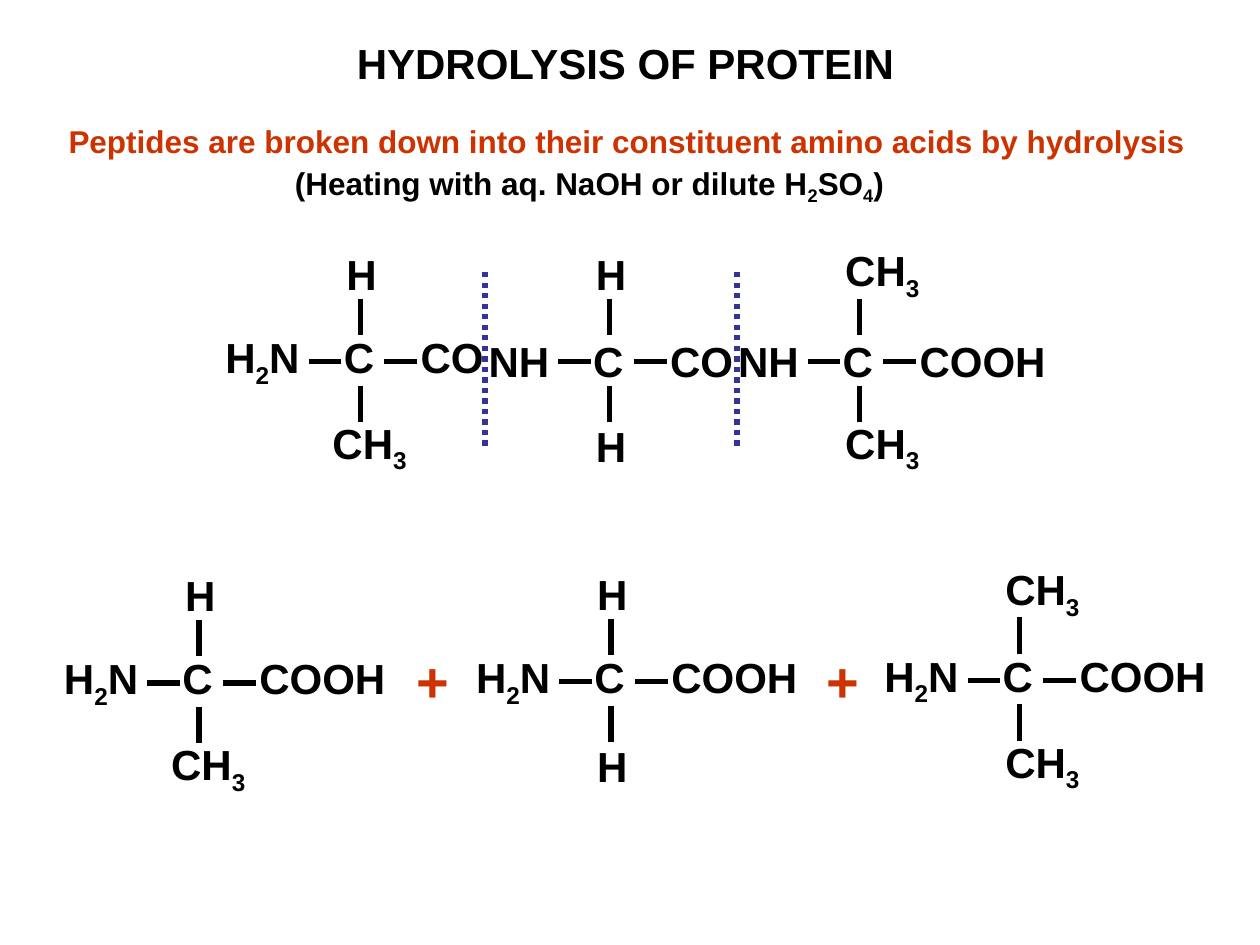
"""Builds the slide on the hydrolysis of a tripeptide into its amino acids."""
from dataclasses import dataclass
from itertools import groupby

from lxml.etree import SubElement
from pptx import Presentation
from pptx.dml.color import RGBColor
from pptx.enum.dml import MSO_LINE as Dash
from pptx.enum.shapes import MSO_CONNECTOR as Conn
from pptx.enum.text import MSO_ANCHOR as Anchor, MSO_AUTO_SIZE as Fit, PP_ALIGN as Align
from pptx.oxml.ns import qn
from pptx.util import Inches, Pt


@dataclass(frozen=True)
class Theme:
    font: str = "Arial"
    ink: str = "000000"
    red: str = "CC3300"
    blue: str = "333399"
    head: int = 24
    body: int = 18
    sign: int = 32
    bond: int = 3


THEME = Theme()
TITLE = "HYDROLYSIS OF PROTEIN"
BODY = [
    ("Peptides are broken down into their constituent amino acids by hydrolysis",
     THEME.red, Align.CENTER, 0),
    ("(Heating with aq. NaOH or dilute H2SO4)", THEME.ink, Align.LEFT, 1.91),
]

ALA, GLY, AIB = ("H", "CH3"), ("H", "H"), ("CH3", "CH3")
PEPTIDE = [
    (2.86, 2.87, "H2N", "CO", ALA),
    (4.84, 2.87, "NH", "CO", GLY),
    (6.82, 2.87, "NH", "COOH", AIB),
]
ACIDS = [
    (1.58, 5.42, "H2N", "COOH", ALA),
    (4.85, 5.41, "H2N", "COOH", GLY),
    (8.09, 5.40, "H2N", "COOH", AIB),
]
GROUPS = [PEPTIDE] + [[acid] for acid in ACIDS]
SIGNS = [3.21, 6.46]
CUTS = [3.85, 5.85]

BONDS = [(-0.41, 0, -0.15, 0), (0.19, 0, 0.45, 0),
         (0, -0.5, 0, -0.21), (0, 0.19, 0, 0.48)]
LEAD = {"H2N": 1.17, "NH": 1.06}
STOPS = (-0.13, 0.48)
PAD = 0.1
HIGH = 0.56


def write(para, text, size, color=THEME.ink):
    """Adds the text run by run, with digits as subscripts."""
    for low, part in groupby(text, str.isdigit):
        run = para.add_run()
        run.text = "".join(part)
        font = run.font
        font.name, font.size, font.bold = THEME.font, Pt(size), True
        font.color.rgb = RGBColor.from_string(color)
        if low:
            run._r.get_or_add_rPr().set("baseline", "-25000")


def place(shape, box, anchor):
    """Sets the box of a shape and the way its text sits in it."""
    shape.left, shape.top, shape.width, shape.height = map(Inches, box)
    frame = shape.text_frame
    frame.word_wrap, frame.auto_size = True, Fit.NONE
    frame.vertical_anchor = anchor
    return frame


def label(shapes, text, box, size=THEME.head, color=THEME.ink, align=Align.LEFT, tabs=()):
    """Adds one text box, with tab stops where they are given."""
    frame = place(shapes.add_textbox(0, 0, 0, 0), box, Anchor.MIDDLE)
    para = frame.paragraphs[0]
    para.alignment = align
    if tabs:
        stops = SubElement(para._p.get_or_add_pPr(), qn("a:tabLst"))
        for tab in tabs:
            SubElement(stops, qn("a:tab"), pos=str(Inches(tab)), algn="l")
    write(para, text, size, color)


def rule(shapes, ends, color=THEME.ink, dash=None):
    """Adds one straight line."""
    line = shapes.add_connector(Conn.STRAIGHT, *map(Inches, ends))
    line.line.width = Pt(THEME.bond)
    line.line.color.rgb = RGBColor.from_string(color)
    if dash:
        line.line.dash_style = dash
    SubElement(line._element.spPr, qn("a:effectLst"))


def unit(shapes, x, y, left, right, ends):
    """Draws one amino acid around its central carbon at x, y."""
    lead = LEAD[left]
    tabs = [lead - PAD + stop for stop in STOPS]
    label(shapes, f"{left}\tC\t{right}", (x - lead, y - 0.29, 2.77, HIGH), tabs=tabs)
    for name, rise in zip(ends, (-0.98, 0.39)):
        shift = 0.32 if name == "CH3" and ends == ALA else 0.21
        label(shapes, name, (x - shift, y + rise, 0.79, HIGH))
    for x1, y1, x2, y2 in BONDS:
        rule(shapes, (x + x1, y + y1, x + x2, y + y2))


def main():
    deck = Presentation()
    deck.slide_width, deck.slide_height = Inches(10), Inches(7.5)
    slide = deck.slides.add_slide(deck.slide_layouts[1])
    shapes = slide.shapes

    head = place(shapes.title, (1.17, 0.25, 7.59, 0.5), Anchor.TOP).paragraphs[0]
    head.alignment = Align.CENTER
    write(head, TITLE, THEME.head)

    frame = place(slide.placeholders[1], (0.33, 0.92, 9.29, 1.1), Anchor.TOP)
    for row, (text, color, align, inset) in enumerate(BODY):
        para = frame.add_paragraph() if row else frame.paragraphs[0]
        para.alignment = align
        para.space_before, para.space_after = Pt(0), Pt(2)
        props = para._p.get_or_add_pPr()
        props.set("marL", str(Inches(inset)))
        props.set("indent", "0")
        SubElement(props, qn("a:buNone"))
        write(para, text, THEME.body, color)

    for group in GROUPS:
        parts = shapes.add_group_shape().shapes
        for acid in group:
            unit(parts, *acid)
    for x in SIGNS:
        label(shapes, "+", (x, 5.08, 0.46, 0.64), THEME.sign, THEME.red, Align.CENTER)
    for x in CUTS:
        rule(shapes, (x, 2.16, x, 3.57), THEME.blue, Dash.ROUND_DOT)

    deck.save("out.pptx")


if __name__ == "__main__":
    main()
